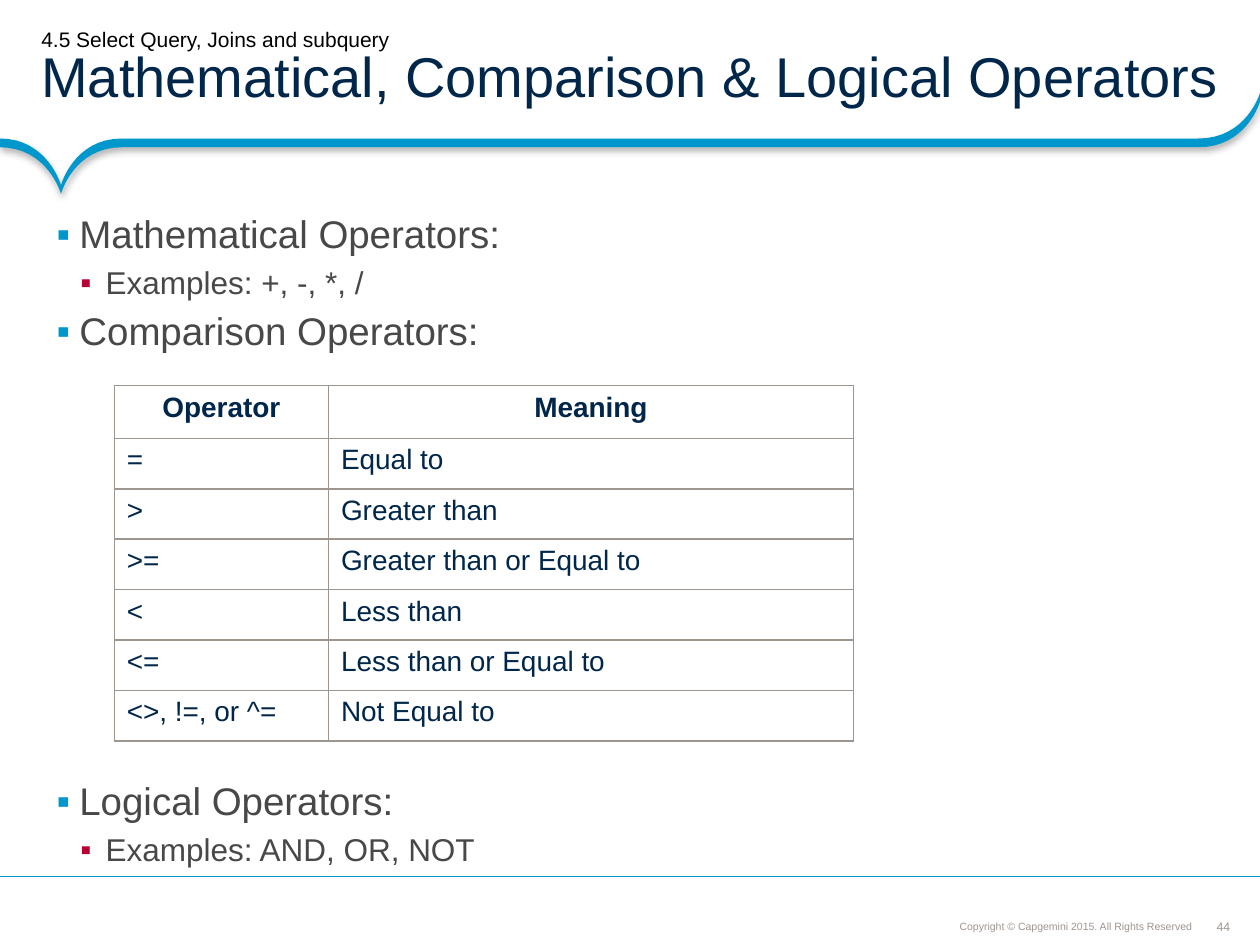
from lxml import etree
from pptx import Presentation
from pptx.dml.color import RGBColor
from pptx.enum import shapes, text
from pptx.oxml import ns
from pptx.util import Pt

BLUE = RGBColor(0x00, 0x98, 0xCC)
NAVY = RGBColor(0x00, 0x26, 0x4A)
CRIMSON = RGBColor(0xB7, 0x01, 0x32)
GREY = RGBColor(0x48, 0x48, 0x48)
TAUPE = RGBColor(0x9F, 0x95, 0x8F)
BLACK = RGBColor(0x00, 0x00, 0x00)

FONT = "Arial"
WIDTH, HEIGHT = 720, 540

# level: (text size, left margin, hanging indent, bullet colour)
LEVELS = {0: (22, 13, 13, BLUE), 1: (18, 28, 14.4, CRIMSON)}
TABLE_GAP = 239  # room left for the table between two bullets
BULLETS = [
    (0, "Mathematical Operators:", 0),
    (1, "Examples: +, -, *, /", 0),
    (0, "Comparison Operators:", 0),
    (0, "Logical Operators:", TABLE_GAP),
    (1, "Examples: AND, OR, NOT", 0),
]
OPERATORS = [
    ("Operator", "Meaning"),
    ("=", "Equal to"),
    (">", "Greater than"),
    (">=", "Greater than or Equal to"),
    ("<", "Less than"),
    ("<=", "Less than or Equal to"),
    ("<>, !=, or ^=", "Not Equal to"),
]


def add_xml(parent, tag, **attributes):
    return etree.SubElement(parent, ns.qn(tag), attributes)


def style(font, size, color, bold=False):
    font.name, font.size, font.bold = FONT, Pt(size), bold
    font.color.rgb = color


def add_frame(slide, box, insets, anchor=text.MSO_ANCHOR.TOP, wrap=True):
    frame = slide.shapes.add_textbox(*map(Pt, box)).text_frame
    frame.word_wrap = wrap
    frame.vertical_anchor = anchor
    (frame.margin_left, frame.margin_top,
     frame.margin_right, frame.margin_bottom) = map(Pt, insets)
    return frame


def bezier(start, control1, control2, end, steps=16):
    for step in range(steps + 1):
        t = step / steps
        weights = ((1 - t) ** 3, 3 * t * (1 - t) ** 2, 3 * t * t * (1 - t), t ** 3)
        yield tuple(sum(w * p[axis] for w, p in
                        zip(weights, (start, control1, control2, end)))
                    for axis in (0, 1))


def add_header_band(slide):
    thickness, level = 5, 79.2
    tip = (34.9, 105.8)
    edge = [
        *bezier((0, level), (27.2, level), tip, tip),
        *bezier(tip, tip, (42.2, level), (69.7, level)),
        *bezier((684.9, level), (712.4, level), (WIDTH, 53.3), (WIDTH, 53.3)),
    ]
    outline = edge + [(x, y + thickness) for x, y in reversed(edge)]
    points = [(Pt(x), Pt(y)) for x, y in outline]
    builder = slide.shapes.build_freeform(*points[0])
    builder.add_line_segments(points[1:], close=True)
    band = builder.convert_to_shape()
    band.fill.solid()
    band.fill.fore_color.rgb = BLUE
    band.line.fill.background()
    # Soft shadow straight below the band
    band.shadow.inherit = False
    effects = band._element.spPr.find(ns.qn("a:effectLst"))
    shadow = add_xml(effects, "a:outerShdw", blurRad=str(Pt(4)),
                     dist=str(Pt(2)), dir="5400000", rotWithShape="0")
    color = add_xml(shadow, "a:srgbClr", val=str(BLACK))
    add_xml(color, "a:alpha", val="31000")


def add_footer(slide):
    rule = slide.shapes.add_connector(
        shapes.MSO_CONNECTOR.STRAIGHT, Pt(WIDTH), Pt(501), Pt(0), Pt(501))
    rule.line.color.rgb = BLUE
    rule.line.width = Pt(0.75)
    add_xml(rule._element.spPr, "a:effectLst")

    rights = add_frame(slide, (490.3, 521.3, 193.7, 14.4), (2.9,) * 4,
                       text.MSO_ANCHOR.BOTTOM).paragraphs[0]
    rights.text = "Copyright © Capgemini 2015. All Rights Reserved"
    rights.alignment = text.PP_ALIGN.RIGHT
    rights.line_spacing = 0.9
    style(rights.font, 6, TAUPE)

    number = add_frame(slide, (694.8, 524.9, 8.6, 8.6), (0,) * 4,
                       text.MSO_ANCHOR.MIDDLE, wrap=False).paragraphs[0]
    number.text = "44"
    number.alignment = text.PP_ALIGN.CENTER
    style(number.font, 7, TAUPE)


def add_title(slide):
    title = add_frame(slide, (0, 0, WIDTH, 79.2), (23.6, 3, 13, 3),
                      text.MSO_ANCHOR.MIDDLE).paragraphs[0]
    title.line_spacing = 0.85
    section = title.add_run()
    section.text = "4.5 Select Query, Joins and subquery"
    style(section.font, 12, BLACK)
    title.add_line_break()
    heading = title.add_run()
    heading.text = "Mathematical, Comparison & Logical Operators"
    style(heading.font, 32, NAVY)


def add_bullets(slide):
    frame = add_frame(slide, (23.8, 117.4, 696.2, 365.8), (8.6, 5.8, 5.8, 5.8))
    for index, (level, words, gap) in enumerate(BULLETS):
        size, margin, hang, color = LEVELS[level]
        item = frame.add_paragraph() if index else frame.paragraphs[0]
        item.text = words
        item.level = level
        item.line_spacing = 0.9
        item.space_after = Pt(6)
        if gap:
            item.space_before = Pt(gap)
        properties = item._p.get_or_add_pPr()
        properties.set("marL", str(Pt(margin)))
        properties.set("indent", str(-Pt(hang)))
        add_xml(add_xml(properties, "a:buClr"), "a:srgbClr", val=str(color))
        add_xml(properties, "a:buFont", typeface=FONT)
        add_xml(properties, "a:buChar", char="▪")
        style(item.font, size, GREY)


def add_cell_borders(cell):
    properties = cell._tc.get_or_add_tcPr()
    for side in ("a:lnL", "a:lnR", "a:lnT", "a:lnB"):
        border = add_xml(properties, side, w=str(Pt(1)))
        add_xml(add_xml(border, "a:solidFill"), "a:srgbClr", val=str(TAUPE))


def add_operator_table(slide):
    table = slide.shapes.add_table(len(OPERATORS), 2, Pt(65.3), Pt(220.3),
                                   Pt(422.4), Pt(203)).table
    table.first_row = table.horz_banding = False
    for column, width in zip(table.columns, (122.4, 300)):
        column.width = Pt(width)
    for index, entries in enumerate(OPERATORS):
        is_header = index == 0
        table.rows[index].height = Pt(30.2 if is_header else 28.8)
        for cell, words in zip(table.rows[index].cells, entries):
            add_cell_borders(cell)
            cell.fill.background()
            entry = cell.text_frame.paragraphs[0]
            entry.text = words
            if is_header:
                entry.alignment = text.PP_ALIGN.CENTER
            style(entry.font, 16, NAVY, bold=is_header)


def main():
    deck = Presentation()
    deck.slide_width, deck.slide_height = Pt(WIDTH), Pt(HEIGHT)
    slide = deck.slides.add_slide(deck.slide_layouts[6])
    add_header_band(slide)
    add_footer(slide)
    add_title(slide)
    add_bullets(slide)
    add_operator_table(slide)
    deck.save("out.pptx")


if __name__ == "__main__":
    main()
